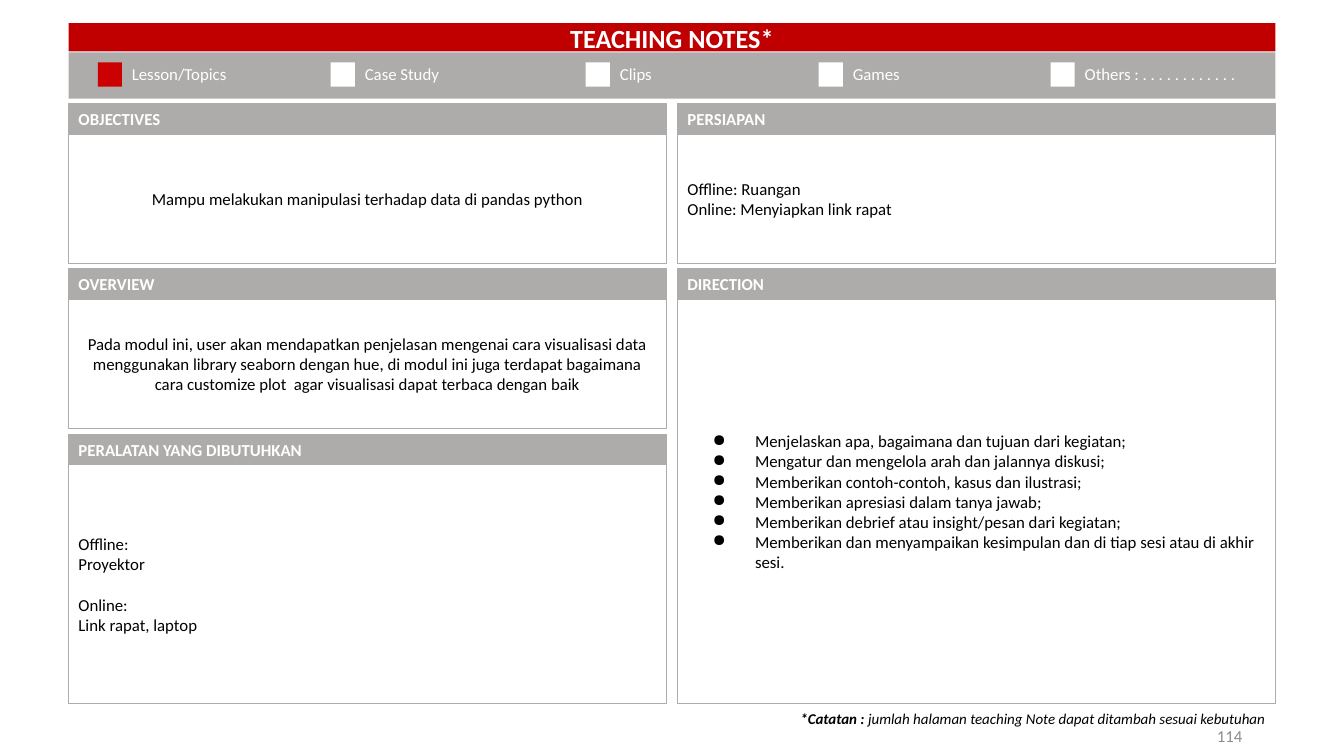
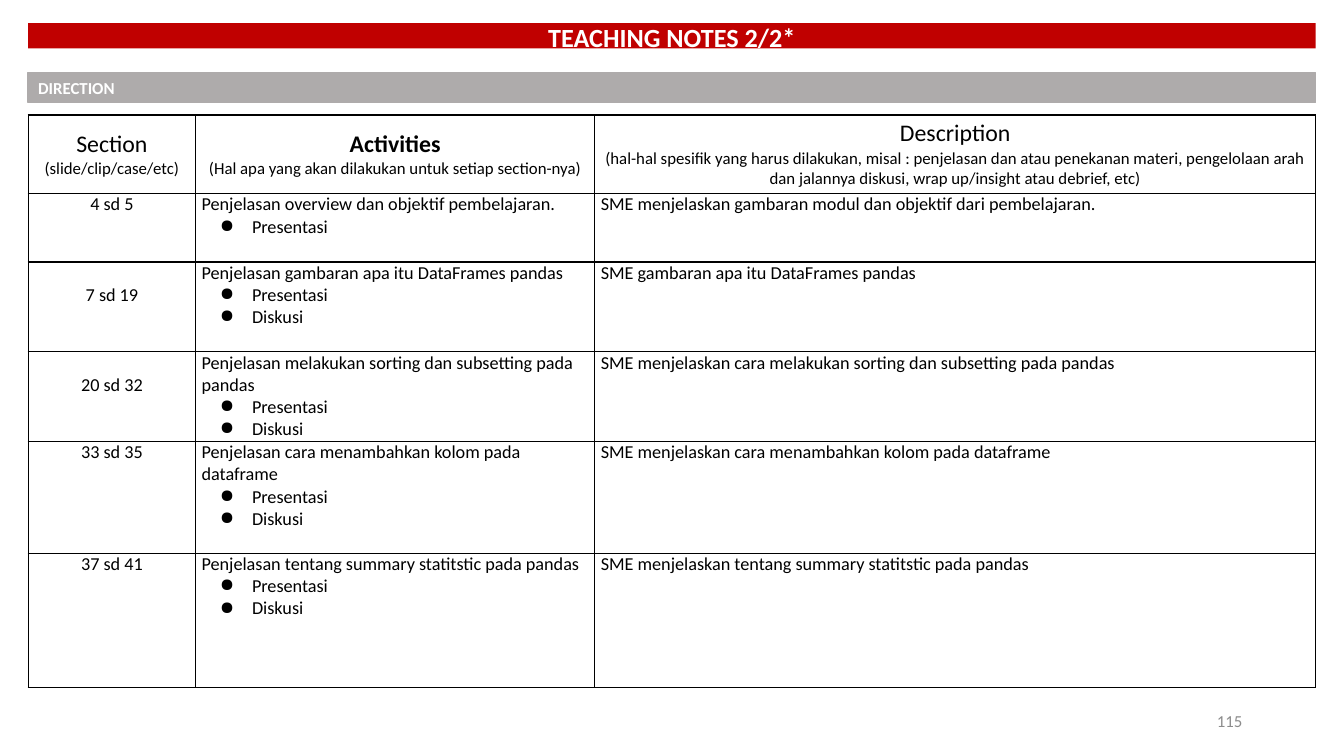
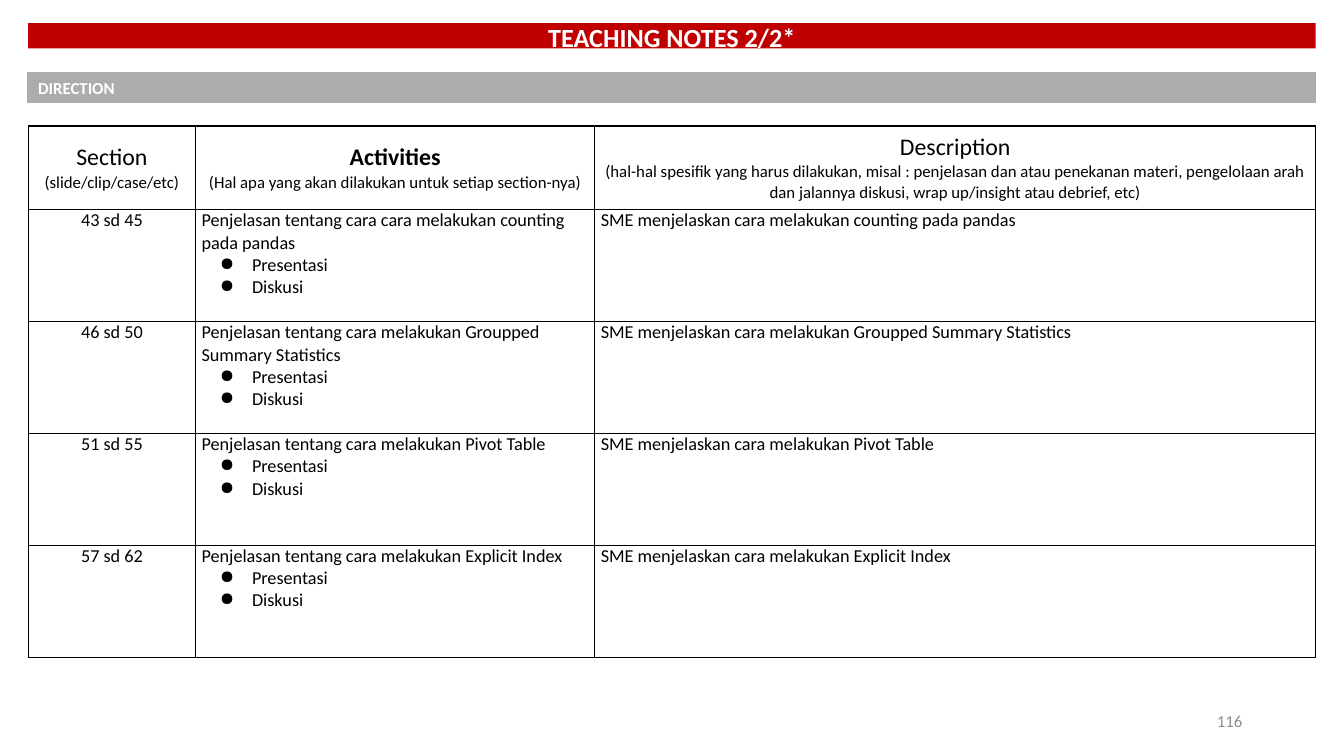
from dataclasses import dataclass

from lxml.etree import SubElement
from pptx import Presentation
from pptx.dml.color import RGBColor
from pptx.enum.shapes import MSO_SHAPE
from pptx.enum.text import MSO_ANCHOR, PP_ALIGN
from pptx.oxml.ns import qn
from pptx.util import Emu, Pt

EMU_PER_PX = 9144
FONT = "Calibri"
COLORS = {
    "title": "C00000",
    "checked": "CC0000",
    "band": "AEABAB",
    "white": "FFFFFF",
    "black": "000000",
    "page": "8C8C8C",
}
LEFT, CENTER, RIGHT = PP_ALIGN.LEFT, PP_ALIGN.CENTER, PP_ALIGN.RIGHT
HEADER_H = 30
COLUMN_X = (68, 672)
COLUMN_W = 593
WIDE_X, WIDE_W = 28, 1277
PANEL_BULLET = (67, 42)
CELL_BULLET = (50, 32)
TABLE_COLS = (166, 396, 715)


@dataclass(frozen=True)
class Panel:
    column: int
    top: int
    body_h: int
    title: str
    lines: tuple[str, ...]
    align: PP_ALIGN = LEFT
    bullet: tuple[int, int] | None = None
    gap_at: int | None = None


@dataclass(frozen=True)
class Option:
    x: int
    label: str
    label_w: int = 136
    color: str = "white"


@dataclass(frozen=True)
class Activity:
    height: int
    section: str
    activity: str
    description: str
    methods: tuple[str, ...] = ("Presentasi", "Diskusi")
    section_top: int = 0


@dataclass(frozen=True)
class Directions:
    page: str
    top: int
    header_h: int
    activities: tuple[Activity, ...]


PANELS = (
    Panel(0, 103, 128, "OBJECTIVES",
          ("Mampu melakukan manipulasi terhadap data di pandas python",), CENTER),
    Panel(0, 267, 128, "OVERVIEW",
          ("Pada modul ini, user akan mendapatkan penjelasan mengenai cara visualisasi data "
           "menggunakan library seaborn dengan hue, di modul ini juga terdapat bagaimana "
           "cara customize plot  agar visualisasi dapat terbaca dengan baik",), CENTER),
    Panel(0, 431, 237, "PERALATAN YANG DIBUTUHKAN",
          ("Offline:", "Proyektor", "Online:", "Link rapat, laptop"), gap_at=2),
    Panel(1, 103, 128, "PERSIAPAN",
          ("Offline: Ruangan", "Online: Menyiapkan link rapat")),
    Panel(1, 267, 401, "DIRECTION",
          ("Menjelaskan apa, bagaimana dan tujuan dari kegiatan;",
           "Mengatur dan mengelola arah dan jalannya diskusi;",
           "Memberikan contoh-contoh, kasus dan ilustrasi;",
           "Memberikan apresiasi dalam tanya jawab;",
           "Memberikan debrief atau insight/pesan dari kegiatan;",
           "Memberikan dan menyampaikan kesimpulan dan di tiap sesi atau di akhir sesi."),
          bullet=PANEL_BULLET),
)

OPTIONS = (
    Option(97, "Lesson/Topics", color="checked"),
    Option(328, "Case Study"),
    Option(581, "Clips"),
    Option(812, "Games"),
    Option(1042, "Others : . . . . . . . . . . . .", 171),
)

TABLE_HEADERS = (
    ("Section", "(slide/clip/case/etc)", False),
    ("Activities", "(Hal apa yang akan dilakukan untuk setiap section-nya)", True),
    ("Description",
     "(hal-hal spesifik yang harus dilakukan, misal : penjelasan dan atau penekanan materi, "
     "pengelolaan arah dan jalannya diskusi, wrap up/insight atau debrief, etc)", False),
)

DIRECTIONS = (
    Directions("115", 114, 78, (
        Activity(68, "4 sd 5", "Penjelasan overview dan objektif pembelajaran.",
                 "SME menjelaskan gambaran modul dan objektif dari pembelajaran.",
                 ("Presentasi",)),
        Activity(89, "7 sd 19", "Penjelasan gambaran apa itu DataFrames pandas",
                 "SME gambaran apa itu DataFrames pandas", section_top=22),
        Activity(89, "20 sd 32", "Penjelasan melakukan sorting dan subsetting pada pandas",
                 "SME menjelaskan cara melakukan sorting dan subsetting pada pandas",
                 section_top=22),
        Activity(111, "33 sd 35", "Penjelasan cara menambahkan kolom pada dataframe",
                 "SME menjelaskan cara menambahkan kolom pada dataframe"),
        Activity(133, "37 sd 41", "Penjelasan tentang summary statitstic pada pandas",
                 "SME menjelaskan tentang summary statitstic pada pandas"),
    )),
    Directions("116", 125, 83, (
        Activity(111, "43 sd 45", "Penjelasan tentang cara cara melakukan counting pada pandas",
                 "SME menjelaskan cara melakukan counting pada pandas"),
        Activity(111, "46 sd 50", "Penjelasan tentang cara melakukan Groupped Summary Statistics",
                 "SME menjelaskan cara melakukan Groupped Summary Statistics"),
        Activity(111, "51 sd 55", "Penjelasan tentang cara melakukan Pivot Table",
                 "SME menjelaskan cara melakukan Pivot Table"),
        Activity(111, "57 sd 62", "Penjelasan tentang cara melakukan Explicit Index",
                 "SME menjelaskan cara melakukan Explicit Index"),
    )),
)


def px(n: int) -> Emu:
    return Emu(n * EMU_PER_PX)


def rgb(name: str) -> RGBColor:
    return RGBColor.from_string(COLORS[name])


def set_bullet(p, bullet: tuple[int, int]) -> None:
    margin, hanging = bullet
    pPr = p._p.get_or_add_pPr()
    pPr.set("marL", str(px(margin)))
    pPr.set("indent", str(-px(hanging)))
    color = SubElement(pPr, qn("a:buClr"))
    SubElement(color, qn("a:srgbClr"), val=COLORS["black"])
    SubElement(pPr, qn("a:buChar"), char="●")


def write(tf, text: str, *, size: float = 12, color: str = "black", bold: bool = False,
          italic: bool = False, align: PP_ALIGN = LEFT, spacing: float | None = None,
          before: float = 0, bullet: tuple[int, int] | None = None,
          same_line: bool = False) -> None:
    p = tf.paragraphs[-1]
    if not same_line:
        if p.runs:
            p = tf.add_paragraph()
        if bullet:
            set_bullet(p, bullet)
        p.alignment = align
        if spacing:
            p.line_spacing = spacing
        if before:
            p.space_before = Pt(before)
    r = p.add_run()
    r.text = text
    r.font.name = FONT
    r.font.size = Pt(size)
    r.font.bold = bold
    r.font.italic = italic
    r.font.color.rgb = rgb(color)


def set_frame(tf, anchor: MSO_ANCHOR) -> None:
    tf.word_wrap = True
    tf.vertical_anchor = anchor
    tf.margin_left = tf.margin_right = px(10)
    tf.margin_top = tf.margin_bottom = px(5)


def add_box(slide, x: int, y: int, w: int, h: int, *, fill: str | None = None,
            line: str | None = None, line_w: float = 0.75):
    sp = slide.shapes.add_shape(MSO_SHAPE.RECTANGLE, px(x), px(y), px(w), px(h))
    sp.shadow.inherit = False
    if fill:
        sp.fill.solid()
        sp.fill.fore_color.rgb = rgb(fill)
    else:
        sp.fill.background()
    if line:
        sp.line.color.rgb = rgb(line)
        sp.line.width = Pt(line_w)
    else:
        sp.line.fill.background()
    set_frame(sp.text_frame, MSO_ANCHOR.MIDDLE)
    return sp.text_frame


def add_label(slide, x: int, y: int, w: int, h: int, anchor: MSO_ANCHOR = MSO_ANCHOR.TOP):
    sp = slide.shapes.add_textbox(px(x), px(y), px(w), px(h))
    set_frame(sp.text_frame, anchor)
    return sp.text_frame


def add_title(slide, text: str, x: int, w: int, h: int) -> None:
    tf = add_box(slide, x, 23, w, h, fill="title")
    write(tf, text, size=18.7, color="white", bold=True, align=CENTER, spacing=1.07)


def add_header(slide, text: str, x: int, y: int, w: int) -> None:
    tf = add_box(slide, x, y, w, HEADER_H, fill="band", line="band", line_w=1)
    write(tf, text, color="white", bold=True)


def add_page_number(slide, number: str, y: int) -> None:
    tf = add_label(slide, 942, y, 300, 40, MSO_ANCHOR.MIDDLE)
    write(tf, number, color="page", align=RIGHT)


def add_panel(slide, panel: Panel) -> None:
    x = COLUMN_X[panel.column]
    tf = add_box(slide, x, panel.top + HEADER_H, COLUMN_W, panel.body_h, line="band")
    for i, text in enumerate(panel.lines):
        write(tf, text, align=panel.align, bullet=panel.bullet,
              before=14.65 if i == panel.gap_at else 0)
    add_header(slide, panel.title, x, panel.top, COLUMN_W)


def add_option(slide, option: Option) -> None:
    add_box(slide, option.x, 62, 24, 24, fill=option.color)
    tf = add_label(slide, option.x + 24, 58, option.label_w, 30)
    write(tf, option.label, color="white")


def format_cell(cell, anchor: MSO_ANCHOR, top: int = 0):
    cell.margin_left = cell.margin_right = px(6)
    cell.margin_top, cell.margin_bottom = px(top), 0
    cell.vertical_anchor = anchor
    tcPr = cell._tc.get_or_add_tcPr()
    for side in ("lnL", "lnR", "lnT", "lnB"):
        ln = SubElement(tcPr, qn(f"a:{side}"), w=str(Pt(1)))
        fill = SubElement(ln, qn("a:solidFill"))
        SubElement(fill, qn("a:srgbClr"), val=COLORS["black"])
    cell.fill.solid()
    cell.fill.fore_color.rgb = rgb("white")
    return cell.text_frame


def add_activity_table(slide, directions: Directions) -> None:
    heights = [directions.header_h, *(a.height for a in directions.activities)]
    table = slide.shapes.add_table(len(heights), len(TABLE_COLS), px(WIDE_X), px(directions.top),
                                   px(WIDE_W), px(sum(heights))).table
    table.first_row = table.horz_banding = False
    for column, w in zip(table.columns, TABLE_COLS):
        column.width = px(w)
    for row, h in zip(table.rows, heights):
        row.height = px(h)
    for c, (heading, hint, bold) in enumerate(TABLE_HEADERS):
        tf = format_cell(table.cell(0, c), MSO_ANCHOR.MIDDLE)
        write(tf, heading, size=17, bold=bold, align=CENTER)
        write(tf, hint, align=CENTER)
    for r, a in enumerate(directions.activities, 1):
        section, activity, description = (
            format_cell(table.cell(r, c), MSO_ANCHOR.TOP, top)
            for c, top in enumerate((a.section_top, 0, 0)))
        write(section, a.section, size=13, align=CENTER)
        write(activity, a.activity, size=13)
        for method in a.methods:
            write(activity, method, size=13, bullet=CELL_BULLET)
        write(description, a.description, size=13)


def build_notes(slide) -> None:
    x, w = COLUMN_X[0], 1197
    add_box(slide, x, 52, w, 46, fill="band")
    add_title(slide, "TEACHING NOTES*", x, w, 28)
    for option in OPTIONS:
        add_option(slide, option)
    for panel in PANELS:
        add_panel(slide, panel)
    tf = add_label(slide, 669, 699, 596, 28)
    write(tf, "*Catatan : ", size=10.7, bold=True, italic=True, align=RIGHT)
    write(tf, "jumlah halaman teaching Note dapat ditambah sesuai kebutuhan",
          size=10.7, italic=True, same_line=True)
    add_page_number(slide, "114", 710)


def build_directions(slide, directions: Directions) -> None:
    add_title(slide, "TEACHING NOTES 2/2*", WIDE_X, WIDE_W, 25)
    add_header(slide, "DIRECTION", WIDE_X, 72, WIDE_W)
    add_activity_table(slide, directions)
    add_page_number(slide, directions.page, 695)


def main() -> None:
    prs = Presentation()
    prs.slide_width, prs.slide_height = px(1333), px(750)
    blank = prs.slide_layouts[6]
    build_notes(prs.slides.add_slide(blank))
    for directions in DIRECTIONS:
        build_directions(prs.slides.add_slide(blank), directions)
    prs.save("out.pptx")


if __name__ == "__main__":
    main()
